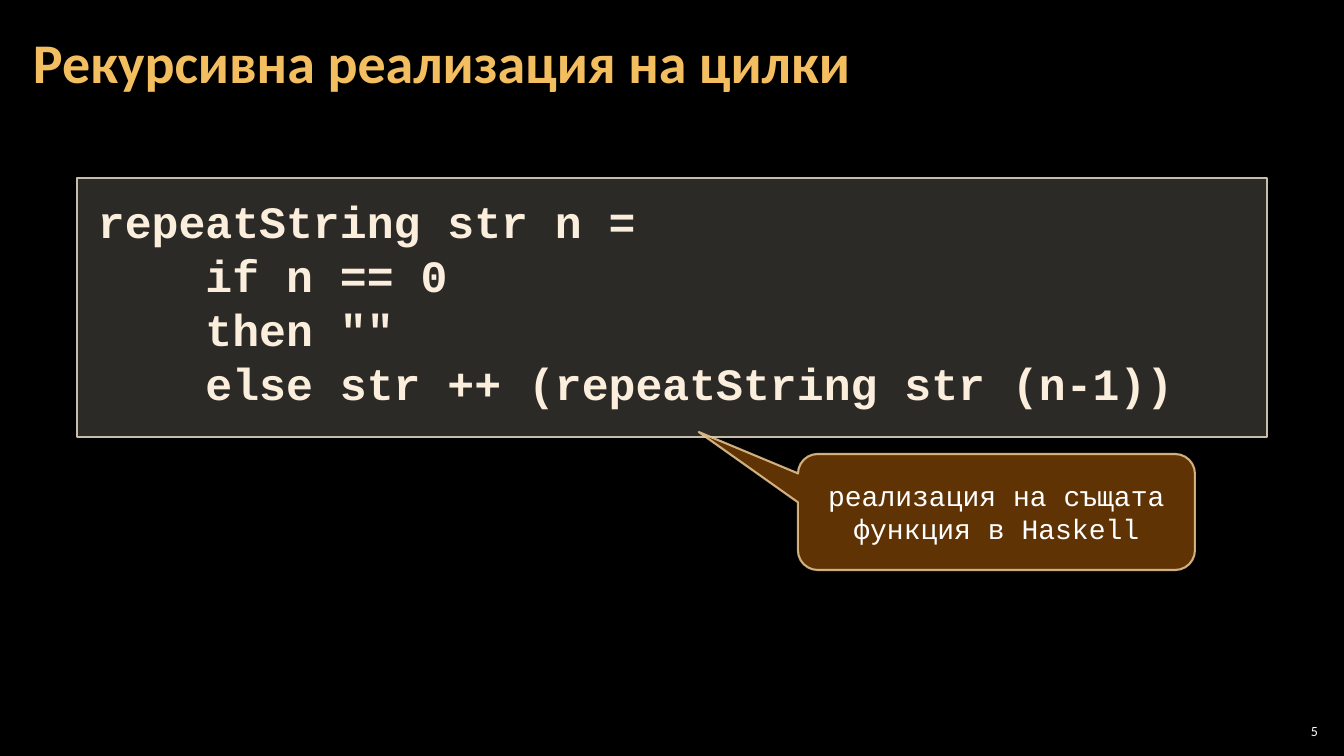
from dataclasses import dataclass

from lxml import etree
from pptx import Presentation, util as u
from pptx.dml.color import RGBColor
from pptx.enum import shapes, text
from pptx.oxml.ns import qn

EMU_PER_PX = 914400 / 100.8


def px(length: int) -> u.Emu:
    return u.Emu(round(length * EMU_PER_PX))


@dataclass(frozen=True)
class Theme:
    background: str = "000000"
    title: str = "F3BE60"
    code: str = "FBEEDC"
    code_fill: str = "D9D4C6"
    code_line: str = "C6BEAB"
    note_fill: str = "663606"
    note_line: str = "F8D49E"
    plain: str = "FFFFFF"
    heading_font: str = "Calibri"
    code_font: str = "Courier New"
    title_size: int = 40
    code_size: int = 32
    note_size: int = 20
    number_size: int = 10


@dataclass(frozen=True)
class Box:
    left: int
    top: int
    width: int
    height: int
    inset_x: int
    inset_y: int


@dataclass(frozen=True)
class TextStyle:
    font: str
    size: int
    color: str
    bold: bool = False
    align: text.PP_ALIGN = text.PP_ALIGN.LEFT
    anchor: text.MSO_ANCHOR = text.MSO_ANCHOR.MIDDLE
    line_spacing: float = 1.0


@dataclass(frozen=True)
class Panel:
    preset: shapes.MSO_SHAPE
    box: Box
    fill: str
    fill_alpha: int
    line: str
    line_alpha: int
    line_width: float
    style: TextStyle
    lines: tuple[str, ...]
    adjustments: tuple[float, ...] = ()


THEME = Theme()
TITLE_BOX = Box(21, 4, 1301, 122, 12, 4)
TITLE_STYLE = TextStyle(THEME.heading_font, THEME.title_size, THEME.title,
                        bold=True, line_spacing=0.9)
NUMBER_BOX = Box(1275, 720, 47, 21, 4, 4)
NUMBER_STYLE = TextStyle(THEME.heading_font, THEME.number_size, THEME.plain,
                         align=text.PP_ALIGN.RIGHT)
PANELS = (
    Panel(shapes.MSO_SHAPE.RECTANGLE, Box(77, 178, 1190, 259, 21, 16),
          THEME.code_fill, 20, THEME.code_line, 100, 1,
          TextStyle(THEME.code_font, THEME.code_size, THEME.code, bold=True,
                    anchor=text.MSO_ANCHOR.TOP),
          ("repeatString str n =",
           "    if n == 0",
           '    then ""',
           "    else str ++ (repeatString str (n-1))")),
    Panel(shapes.MSO_SHAPE.ROUNDED_RECTANGULAR_CALLOUT,
          Box(798, 454, 397, 116, 13, 7),
          THEME.note_fill, 95, THEME.note_line, 80, 1.5,
          TextStyle(THEME.code_font, THEME.note_size, THEME.plain,
                    align=text.PP_ALIGN.CENTER),
          ("реализация на същата функция в Haskell",),
          (-0.75, -0.69, 0.17)),
)


def place(shape, box: Box) -> None:
    shape.left, shape.top = px(box.left), px(box.top)
    shape.width, shape.height = px(box.width), px(box.height)


def write(shape, box: Box, style: TextStyle, lines: tuple[str, ...]) -> None:
    frame = shape.text_frame
    frame.word_wrap = True
    frame.auto_size = text.MSO_AUTO_SIZE.NONE
    frame.vertical_anchor = style.anchor
    frame.margin_left = frame.margin_right = px(box.inset_x)
    frame.margin_top = frame.margin_bottom = px(box.inset_y)
    for index, line in enumerate(lines):
        paragraph = frame.add_paragraph() if index else frame.paragraphs[0]
        paragraph.alignment = style.align
        paragraph.line_spacing = style.line_spacing
        run = paragraph.add_run()
        run.text = line
        run.font.name = style.font
        run.font.size = u.Pt(style.size)
        run.font.bold = style.bold
        run.font.color.rgb = RGBColor.from_string(style.color)


def paint(fill, color: str, alpha: int = 100) -> None:
    """Apply a solid colour whose opacity is alpha percent."""
    fill.solid()
    fill.fore_color.rgb = RGBColor.from_string(color)
    if alpha < 100:
        solid = fill._xPr.find(qn("a:solidFill"))
        etree.SubElement(solid[0], qn("a:alpha"), val=str(alpha * 1000))


def add_panel(slide, panel: Panel) -> None:
    box = panel.box
    shape = slide.shapes.add_shape(panel.preset, px(box.left), px(box.top),
                                   px(box.width), px(box.height))
    shape.shadow.inherit = False
    for index, value in enumerate(panel.adjustments):
        shape.adjustments[index] = value
    paint(shape.fill, panel.fill, panel.fill_alpha)
    paint(shape.line.fill, panel.line, panel.line_alpha)
    shape.line.width = u.Pt(panel.line_width)
    write(shape, box, panel.style, panel.lines)


def main() -> None:
    deck = Presentation()
    deck.slide_width, deck.slide_height = px(1344), px(756)
    slide = deck.slides.add_slide(deck.slide_layouts.get_by_name("Title Only"))
    paint(slide.background.fill, THEME.background)

    title = slide.shapes.title
    place(title, TITLE_BOX)
    write(title, TITLE_BOX, TITLE_STYLE, ("Рекурсивна реализация на цилки",))

    for panel in PANELS:
        add_panel(slide, panel)

    number = slide.shapes.add_textbox(0, 0, 0, 0)
    place(number, NUMBER_BOX)
    write(number, NUMBER_BOX, NUMBER_STYLE, ("5",))
    deck.save("out.pptx")


if __name__ == "__main__":
    main()
